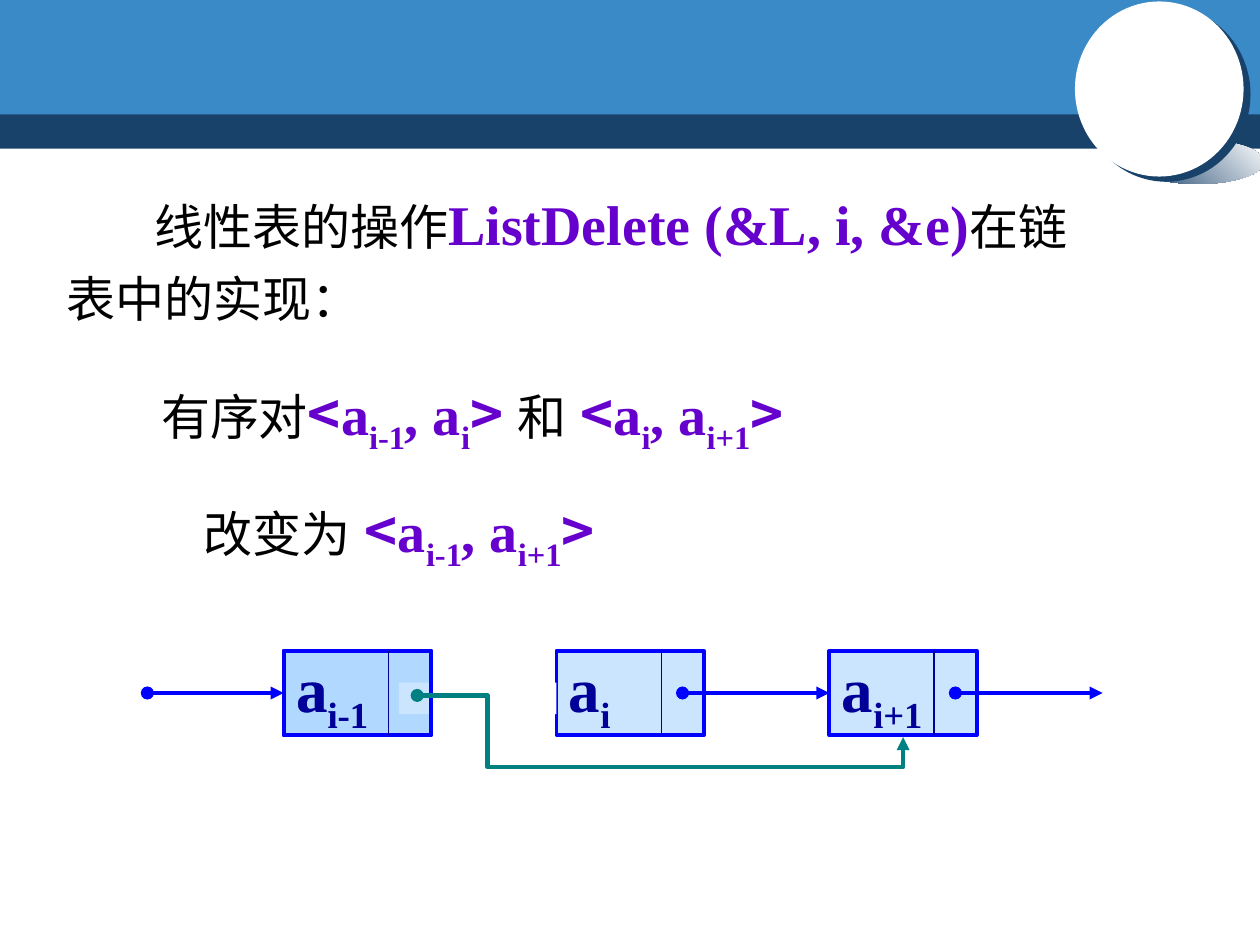
from dataclasses import dataclass
from typing import Optional

from lxml.etree import SubElement
from pptx import Presentation
from pptx.dml.color import RGBColor
from pptx.enum.shapes import MSO_CONNECTOR, MSO_SHAPE
from pptx.enum.text import MSO_ANCHOR, MSO_AUTO_SIZE, PP_ALIGN
from pptx.oxml.ns import qn
from pptx.util import Cm, Pt

COLORS = {
    "navy": "19426B", "sky": "398AC7", "white": "FFFFFF", "black": "000000",
    "purple": "6600CC", "ink": "000099", "node": "99CCFF", "link": "0000FF",
    "teal": "008080",
}
SANS, SERIF = "Noto Sans CJK SC", "Times New Roman"
FORMATS = {
    "body": ({"size": Pt(28), "name": SANS, "bold": False}, "black"),
    "term": ({"size": Pt(32), "name": SERIF, "bold": True}, "purple"),
    "bracket": ({"size": Pt(32), "name": SANS, "bold": True}, "purple"),
    "gap": ({"size": Pt(36), "name": SANS, "bold": True}, "ink"),
    "label": ({"size": Pt(36), "name": SERIF, "bold": True}, "ink"),
}
NODE_WIDTH, NODE_HEIGHT, NODE_TOP = 2.97, 1.7, 13.12
FIRST_NODE, NODE_PITCH = 5.72, 5.5
DIVIDER_OFFSET, POINTER_OFFSET = 2.11, 2.54
LINK_Y = NODE_TOP + NODE_HEIGHT / 2


@dataclass(frozen=True)
class Piece:
    text: str
    style: str
    sub: bool = False


@dataclass(frozen=True)
class Line:
    pieces: list[Piece]
    spacing: float
    indent: float = 0


@dataclass(frozen=True)
class Passage:
    left: float
    top: float
    width: float
    height: float
    lines: list[Line]


@dataclass(frozen=True)
class Node:
    index: str
    left: float


def color(name: str) -> RGBColor:
    return RGBColor.from_string(COLORS[name])


def pair(*indexes: str) -> list[Piece]:
    pieces = [Piece("<", "bracket")]
    for position, index in enumerate(indexes):
        pieces += [Piece(", a" if position else "a", "term"), Piece(index, "term", True)]
    return pieces + [Piece(">", "bracket")]


def write(paragraph, pieces: list[Piece]) -> None:
    for piece in pieces:
        run = paragraph.add_run()
        run.text = piece.text
        values, ink = FORMATS[piece.style]
        for key, value in values.items():
            setattr(run.font, key, value)
        run.font.color.rgb = color(ink)
        properties = run.font._element
        SubElement(properties, qn("a:ea")).set("typeface", values["name"])
        if piece.sub:
            properties.set("baseline", "-25000")


def draw_passage(slide, passage: Passage) -> None:
    box = slide.shapes.add_textbox(
        Cm(passage.left), Cm(passage.top), Cm(passage.width), Cm(passage.height))
    frame = box.text_frame
    frame.word_wrap = True
    frame.auto_size = MSO_AUTO_SIZE.SHAPE_TO_FIT_TEXT
    for position, line in enumerate(passage.lines):
        paragraph = frame.add_paragraph() if position else frame.paragraphs[0]
        paragraph.line_spacing = line.spacing
        if line.indent:
            paragraph._p.get_or_add_pPr().set("indent", str(Cm(line.indent)))
        write(paragraph, line.pieces)


def draw_shape(slide, kind, left: float, top: float, width: float, height: float, fill: str):
    shape = slide.shapes.add_shape(kind, Cm(left), Cm(top), Cm(width), Cm(height))
    shape.shadow.inherit = False
    shape.fill.solid()
    shape.fill.fore_color.rgb = color(fill)
    shape.line.fill.background()
    return shape


def draw_header(slide) -> None:
    draw_shape(slide, MSO_SHAPE.RECTANGLE, 0, 2.13, 25.4, 0.87, "navy")
    draw_shape(slide, MSO_SHAPE.RECTANGLE, 0, 0, 25.4, 2.31, "sky")
    cast = draw_shape(slide, MSO_SHAPE.OVAL, 22.81, 2.82, 2.67, 0.89, "navy")
    cast.fill.gradient()
    cast.fill.gradient_angle = 45
    for stop, name in zip(cast.fill.gradient_stops, ("navy", "white")):
        stop.color.rgb = color(name)
    disc = draw_shape(slide, MSO_SHAPE.OVAL, 21.67, 0.03, 3.4, 3.53, "white")
    effects = disc._element.spPr.find(qn("a:effectLst"))
    rim = SubElement(effects, qn("a:outerShdw"), blurRad="0", dist=str(Pt(5)),
                     dir=str(37 * 60000), algn="ctr", rotWithShape="0")
    SubElement(rim, qn("a:srgbClr"), val=COLORS["navy"])


def draw_node(slide, node: Node):
    box = draw_shape(slide, MSO_SHAPE.RECTANGLE, node.left, NODE_TOP,
                     NODE_WIDTH, NODE_HEIGHT, "node")
    tint = box._element.spPr.find(qn("a:solidFill"))[0]
    SubElement(tint, qn("a:alpha"), val="50000")
    box.line.color.rgb = color("link")
    box.line.width = Pt(2.25)
    frame = box.text_frame
    frame.word_wrap = False
    frame.vertical_anchor = MSO_ANCHOR.MIDDLE
    frame.paragraphs[0].alignment = PP_ALIGN.LEFT
    write(frame.paragraphs[0], [Piece("a", "label"), Piece(node.index, "label", True)])
    return box


def draw_link(slide, start: tuple[float, float], end: tuple[float, float], ink: str,
              width: float = 2.5, arrow: bool = True, target: Optional[object] = None,
              kind=MSO_CONNECTOR.STRAIGHT):
    link = slide.shapes.add_connector(kind, *map(Cm, start + end))
    if target is not None:
        link.end_connect(target, 1)
    link.line.color.rgb = color(ink)
    link.line.width = Pt(width)
    if arrow:
        stroke = link.line._get_or_add_ln()
        SubElement(stroke, qn("a:headEnd"), type="oval")
        SubElement(stroke, qn("a:tailEnd"), type="triangle")
    SubElement(link._element.spPr, qn("a:effectLst"))
    return link


def draw_divider(slide, node: Node) -> None:
    x = node.left + DIVIDER_OFFSET
    draw_link(slide, (x, NODE_TOP), (x, NODE_TOP + NODE_HEIGHT), "ink", 0.75, False)


def draw_bypass(slide, end_node: Node) -> None:
    end = (end_node.left + NODE_WIDTH / 2, 14.86)
    bypass = draw_link(slide, (8.41, 14.02), end, "teal", kind=MSO_CONNECTOR.ELBOW)
    geometry = bypass._element.spPr.find(qn("a:prstGeom"))
    geometry.set("prst", "bentConnector4")
    guides = geometry.find(qn("a:avLst"))
    for name, value in {"adj1": 14500, "adj2": 171800}.items():
        SubElement(guides, qn("a:gd"), name=name, fmla=f"val {value}")


def draw_list(slide) -> None:
    previous, removed, following = [
        Node(index, FIRST_NODE + position * NODE_PITCH)
        for position, index in enumerate(("i-1", "i", "i+1"))]
    previous_box = draw_node(slide, previous)
    draw_link(slide, (2.97, LINK_Y), (previous.left, LINK_Y), "link", target=previous_box)
    draw_node(slide, removed)
    draw_divider(slide, removed)
    following_box = draw_node(slide, following)
    draw_divider(slide, following)
    for source, target in ((removed, following_box), (following, None)):
        x = source.left + POINTER_OFFSET
        draw_link(slide, (x, LINK_Y), (source.left + NODE_PITCH + 0.01, LINK_Y),
                  "link", target=target)
    draw_shape(slide, MSO_SHAPE.RECTANGLE, 8.04, 13.76, 3.18, 0.64, "white")
    draw_node(slide, previous)
    draw_divider(slide, previous)
    draw_bypass(slide, following)


PASSAGES = [
    Passage(1.09, 3.43, 21.64, 3.3, [
        Line([Piece("线性表的操作", "body"), Piece("ListDelete (&L, i, &e)", "term"),
              Piece("在链表中的实现：", "body")], 1.2, 1.78)]),
    Passage(3, 6.71, 16.76, 4.52, [
        Line([Piece("有序对", "body"), *pair("i-1", "i"), Piece(" ", "gap"),
              Piece("和", "body"), Piece(" ", "gap"), *pair("i", "i+1")], 1.4),
        Line([Piece("改变为", "body"), Piece(" ", "gap"), *pair("i-1", "i+1")], 1.4, 0.86)]),
]


def main() -> None:
    deck = Presentation()
    deck.slide_width, deck.slide_height = Cm(25.4), Cm(19.05)
    slide = deck.slides.add_slide(deck.slide_layouts[6])
    draw_header(slide)
    for passage in PASSAGES:
        draw_passage(slide, passage)
    draw_list(slide)
    deck.save("out.pptx")


if __name__ == "__main__":
    main()
